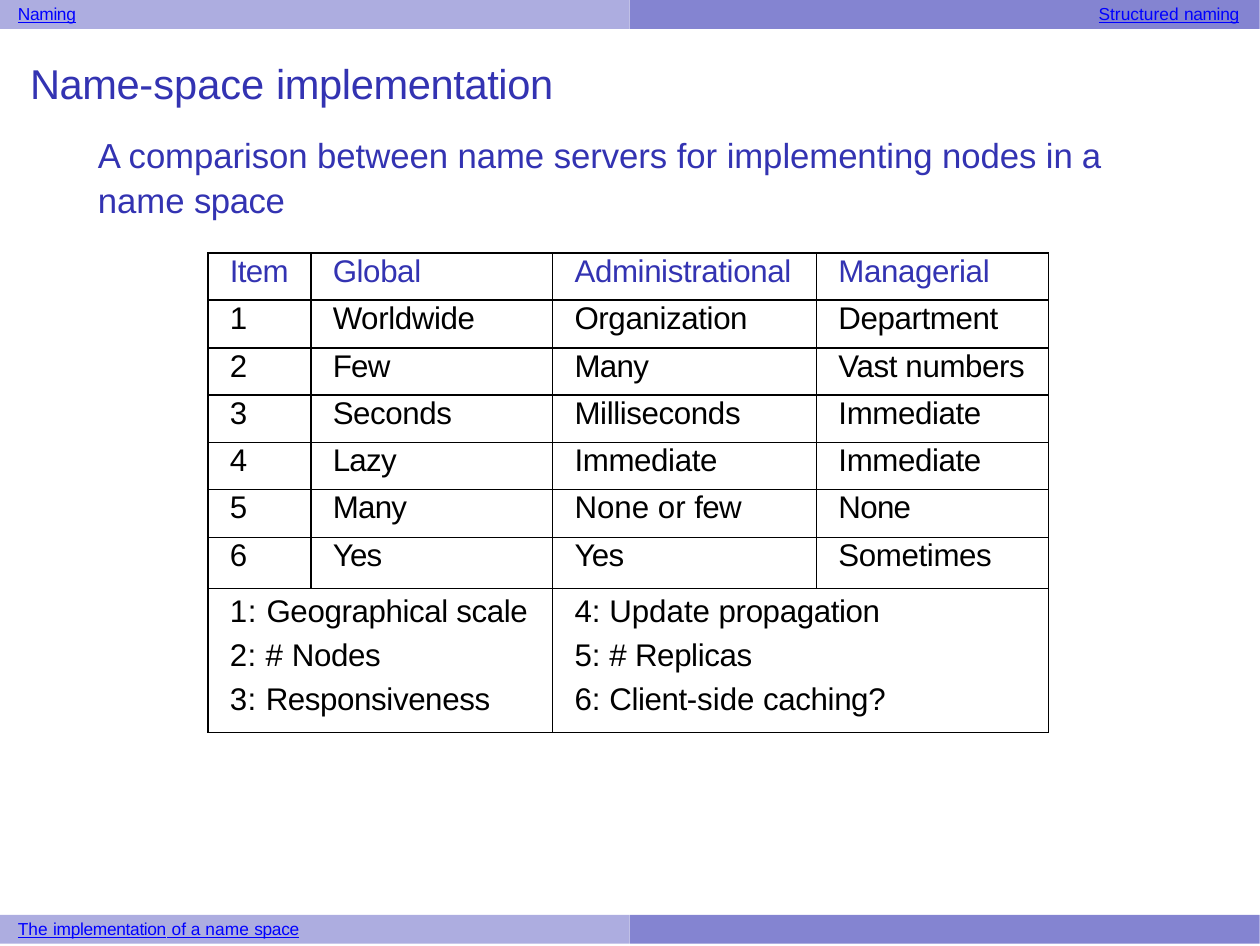
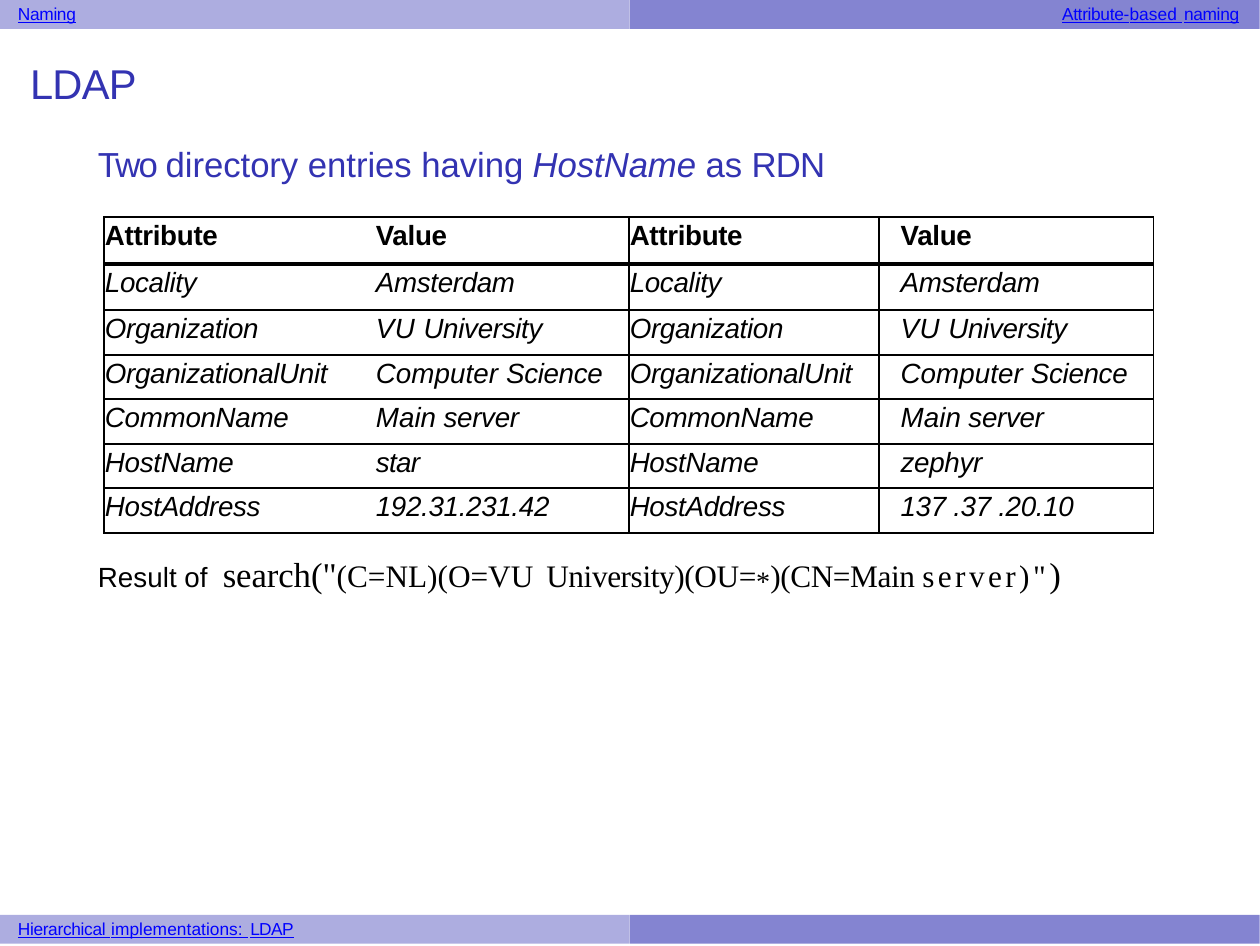
from dataclasses import dataclass, replace

from lxml import etree
from pptx import Presentation
from pptx.dml.color import RGBColor
from pptx.enum.shapes import MSO_SHAPE
from pptx.enum.text import MSO_ANCHOR, MSO_AUTO_SIZE, PP_ALIGN
from pptx.oxml.ns import qn
from pptx.util import Emu, Pt

RECT = MSO_SHAPE.RECTANGLE
TOP = MSO_ANCHOR.TOP
FIXED = MSO_AUTO_SIZE.NONE
LEFT, RIGHT = PP_ALIGN.LEFT, PP_ALIGN.RIGHT

SCALE = 914400 / 250
PAGE = Pt(363), Pt(272.5)
WIDTH, HEIGHT = 1260, 945
BAND = 30
TIGHT = -0.1


@dataclass(frozen=True)
class Style:
    size: float
    color: str
    font: str = "Arial"
    bold: bool = False
    italic: bool = False
    under: bool = False
    base: int = 0


@dataclass(frozen=True)
class Theme:
    pale: str = "ADADE0"
    deep: str = "8484D1"
    ink: str = "000000"
    title: Style = Style(12, "3333B2")
    lead: Style = Style(10, "3333B2")
    label: Style = Style(5, "0000FF", under=True)
    head: Style = Style(9, "3333B2")
    cell: Style = Style(9, "000000")
    entry: Style = Style(8, "000000", italic=True)
    field: Style = Style(8, "000000", bold=True)
    plain: Style = Style(8, "000000")
    query: Style = Style(9, "000000", "Times New Roman")


THEME = Theme()


def px(num):
    return Emu(round(num * SCALE))


def place(shape, left, top, width, height):
    shape.left, shape.top = px(left), px(top)
    shape.width, shape.height = px(width), px(height)


def write(par, runs, style):
    """Add runs given as text, or as (text, tracking[, style])."""
    for item in [runs] if isinstance(runs, str) else runs:
        text, track, *own = (item, TIGHT) if isinstance(item, str) else item
        look = own[0] if own else style
        run = par.add_run()
        run.text = text
        font = run.font
        font.name, font.size = look.font, Pt(look.size)
        font.bold, font.italic, font.underline = look.bold, look.italic, look.under
        font.color.rgb = RGBColor.from_string(look.color)
        props = run._r.get_or_add_rPr()
        props.set("spc", str(round(track * 100)))
        if look.base:
            props.set("baseline", str(look.base * 1000))


def fill_frame(frame, runs, style, align=LEFT, space=None):
    frame.word_wrap = True
    frame.auto_size = FIXED
    frame.vertical_anchor = TOP
    frame.margin_left = frame.margin_right = 0
    frame.margin_top = frame.margin_bottom = 0
    par = frame.paragraphs[0]
    props = par._p.get_or_add_pPr()
    props.set("marL", "0")
    props.set("indent", "0")
    etree.SubElement(props, qn("a:buNone"))
    par.alignment = align
    par.space_before = Pt(0)
    if space:
        par.line_spacing = space
    write(par, runs, style)


def add_text(slide, box, runs, style, **opts):
    shape = slide.shapes.add_textbox(*map(px, box))
    fill_frame(shape.text_frame, runs, style, **opts)


def add_band(slide, top, left, right=None):
    """Draw a two-tone strip with a label at either end."""
    half = WIDTH // 2
    for side, color in enumerate((THEME.pale, THEME.deep)):
        bar = slide.shapes.add_shape(RECT, px(side * half), px(top), px(half), px(BAND - 1))
        bar.shadow.inherit = False
        bar.fill.solid()
        bar.fill.fore_color.rgb = RGBColor.from_string(color)
        bar.line.fill.background()
    add_text(slide, (18, top + 3, 500, 22), left, THEME.label)
    if right:
        add_text(slide, (740, top + 3, 500, 22), right, THEME.label, align=RIGHT)


def add_slide(deck, title, lead, lead_top, topic, section):
    slide = deck.slides.add_slide(deck.slide_layouts[1])
    add_band(slide, 0, "Naming", topic)
    add_band(slide, HEIGHT - BAND, section)
    name, body = slide.shapes.title, slide.placeholders[1]
    place(name, 30, 58, 1100, 50)
    fill_frame(name.text_frame, title, THEME.title)
    place(body, 98, lead_top, 1035, 100)
    fill_frame(body.text_frame, lead, THEME.lead, space=1.08)
    return slide


def rule_cell(cell, widths):
    """Set the left, right, top and bottom borders; zero means none."""
    props = cell._tc.get_or_add_tcPr()
    for side, width in zip("LRTB", widths):
        line = etree.SubElement(props, qn(f"a:ln{side}"), w=str(Pt(width)))
        if width:
            solid = etree.SubElement(line, qn("a:solidFill"))
            etree.SubElement(solid, qn("a:srgbClr"), val=THEME.ink)
        else:
            etree.SubElement(line, qn("a:noFill"))
    cell.fill.background()


def add_grid(slide, left, top, cols, rows, across, down):
    """Add a bare table; across and down list the widths of its rules."""
    frame = slide.shapes.add_table(
        len(rows), len(cols), px(left), px(top), px(sum(cols)), px(sum(rows)))
    table = frame.table
    table.first_row = table.horz_banding = False
    for col, width in zip(table.columns, cols):
        col.width = px(width)
    for row, height in zip(table.rows, rows):
        row.height = px(height)
    for y in range(len(rows)):
        for x in range(len(cols)):
            rule_cell(table.cell(y, x), (down[x], down[x + 1], across[y], across[y + 1]))
    return table


def fill_cell(cell, lines, style, left, top):
    cell.margin_left, cell.margin_top = px(left), px(top)
    cell.margin_right = cell.margin_bottom = 0
    cell.vertical_anchor = TOP
    frame = cell.text_frame
    for num, runs in enumerate(lines):
        par = frame.add_paragraph() if num else frame.paragraphs[0]
        par.space_before = Pt(2.5 if num else 0)
        write(par, runs, style)


def add_servers(slide):
    data = [
        ([("Item", -0.2)], "Global", "Administrational", "Managerial"),
        ("1", "Worldwide", "Organization", "Department"),
        ("2", [("Few", -0.2)], [("Many", -0.2)], "Vast numbers"),
        ("3", "Seconds", "Milliseconds", "Immediate"),
        ("4", [("Lazy", -0.2)], "Immediate", "Immediate"),
        ("5", [("Many", -0.2)], [("None or ", 0), ("few", -0.2)], [("None", -0.2)]),
        ("6", [("Yes", -0.2)], [("Yes", -0.2)], "Sometimes"),
    ]
    keys = [
        ([("1: ", 0.2), "Geographical scale"], [("2: #", 0.1), " Nodes"],
         [("3: ", 0.1), "Responsiveness"]),
        ([("4: Update ", 0), "propagation"], [("5: #", 0), " Replicas"],
         [("6: ", 0), "Client-", ("side ", 0), "caching?"]),
    ]
    rows = [47, 48] * 3 + [51, 144]
    table = add_grid(slide, 208, 253, [103, 242, 264, 232], rows, [0.5] * 9, [0.5] * 5)
    for y, row in enumerate(data):
        for x, runs in enumerate(row):
            style = THEME.cell if y else THEME.head
            fill_cell(table.cell(y, x), [runs], style, 22, 1)
    for num, lines in enumerate(keys):
        cell = table.cell(len(data), num * 2)
        cell.merge(table.cell(len(data), num * 2 + 1))
        fill_cell(cell, lines, THEME.cell, 22, 6)


def add_entries(slide):
    school = [("VU ", 0.1), "University"]
    unit = [("Computer ", 0), "Science"]
    main_host = [("Main", 0), " server"]
    data = [
        ("Attribute", "Value", "Value"),
        ("Locality", "Amsterdam", "Amsterdam"),
        ("Organization", school, school),
        ("OrganizationalUnit", unit, unit),
        ("CommonName", main_host, main_host),
        ("HostName", [("star", -0.2)], "zephyr"),
        ("HostAddress", "192.31.231.42", "137 .37 .20.10"),
    ]
    across = [0.5, 1.5] + [0.5] * 6
    table = add_grid(slide, 104, 217, [250, 275] * 2, [47, 46, 45, 44, 45, 44, 45],
                     across, [0.5, 0, 0.5, 0.5, 0.5])
    for y, (name, first, other) in enumerate(data):
        for x, runs in enumerate((name, first, name, other)):
            style = THEME.entry if y else THEME.field
            fill_cell(table.cell(y, x), [runs], style, 22 if x % 2 else 1, 3)


def add_query(slide):
    plain, query = THEME.plain, THEME.query
    large = replace(query, size=10)
    star = replace(query, size=14, base=-8)
    runs = [
        ("Result of", 0, plain), (" ", 2, plain), ("search(\"", 0, large),
        ("(C=NL)(O=VU", 0), (" ", 1.5), "University)(OU=", ("*", TIGHT, star),
        ")(CN=Main ", ("server)\"", 1), (")", 0, large),
    ]
    add_text(slide, (98, 561, 1050, 40), runs, query, space=Pt(10.4))


def main():
    deck = Presentation()
    deck.slide_width, deck.slide_height = PAGE

    servers = add_slide(
        deck, ["Name-", ("space ", 0), "implementation"],
        [("A comparison between name servers for implementing nodes in ", 0),
         ("a ", -0.5), ("name ", 0), "space"], 131,
        [("Structured", 0), (" ", -0.2), "naming"],
        [("The", 0), (" ", 0.1), "implementation", (" of a name ", 0), "space"])
    add_servers(servers)

    entries = add_slide(
        deck, [("LDAP", -0.2)],
        [("Two ", -0.5), ("directory entries having ", 0),
         ("HostName ", 0, replace(THEME.lead, italic=True)), ("as ", 0), ("RDN", -0.2)], 140,
        ["Attribute-", ("based", 0), (" ", 0.6), "naming"],
        ["Hierarchical", (" ", 0.1), ("implementations:", 0), (" ", 0.6), ("LDAP", -0.2)])
    add_entries(entries)
    add_query(entries)

    deck.save("out.pptx")


if __name__ == "__main__":
    main()
